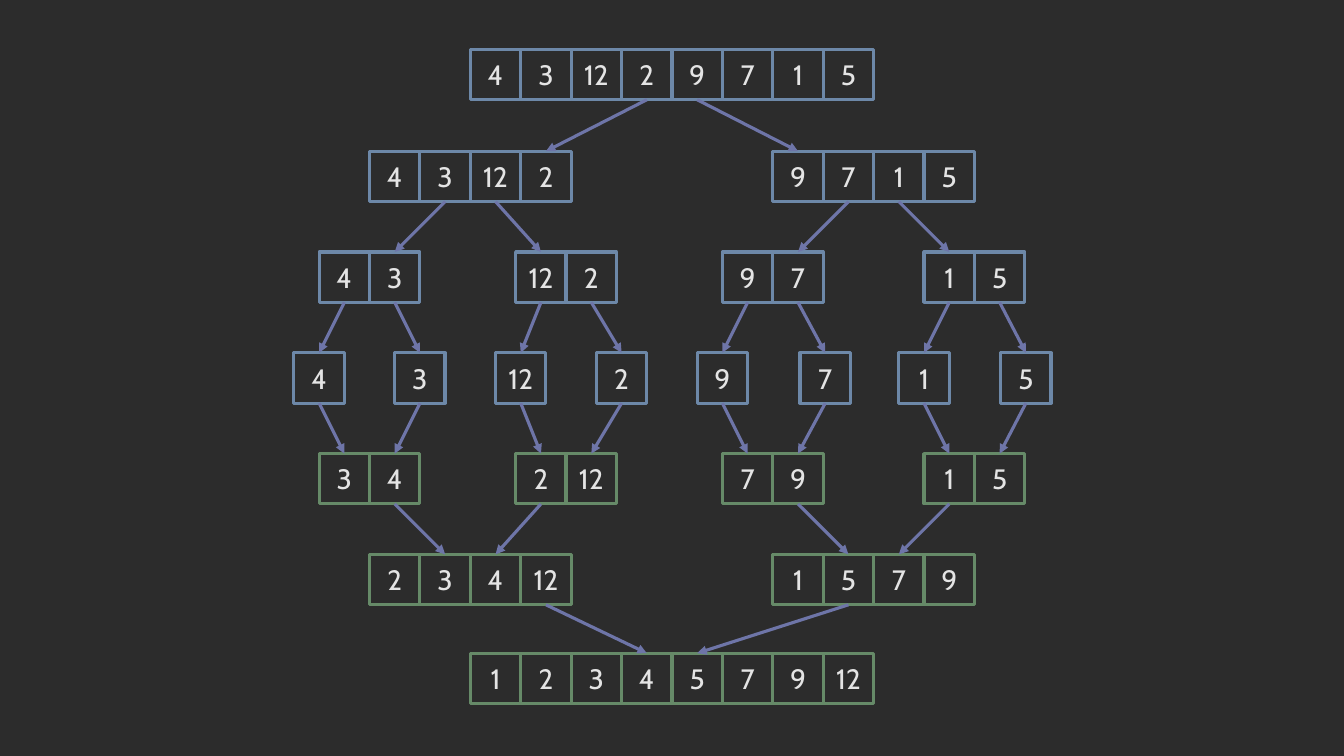
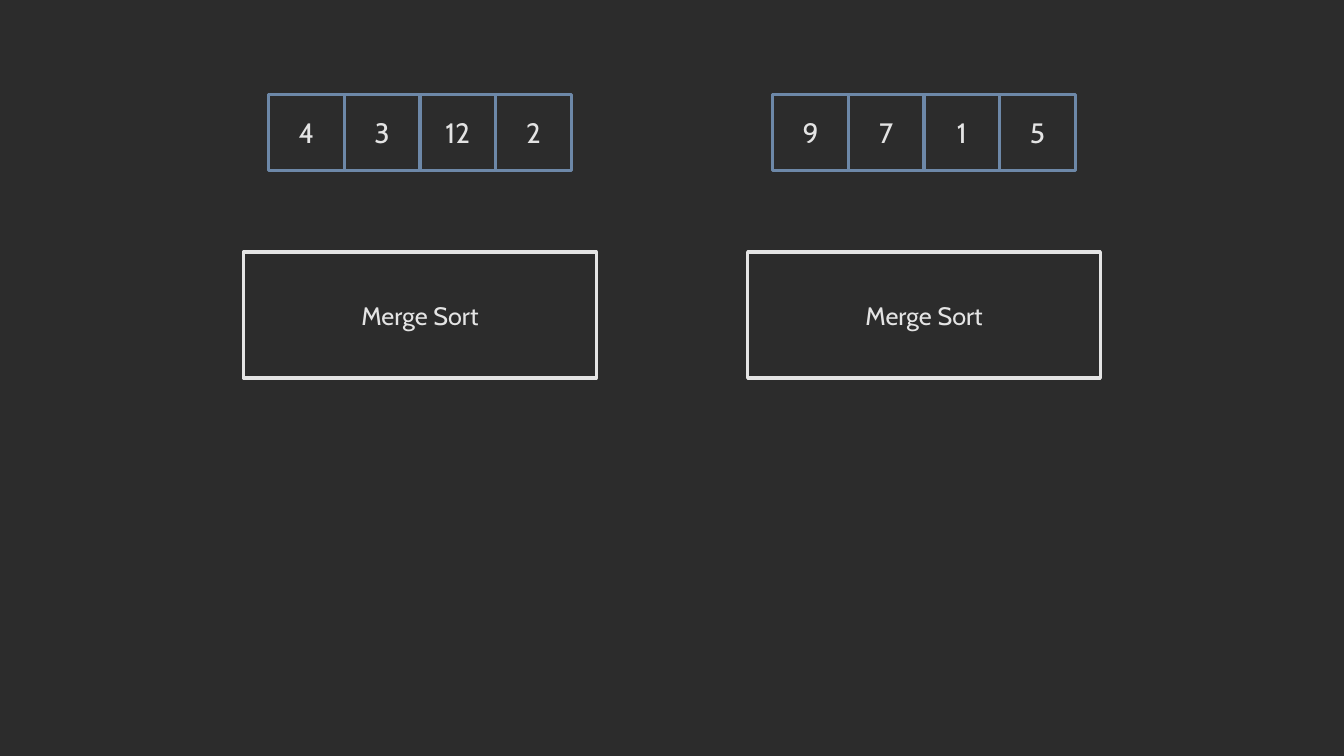
"""Build two merge sort slides: the full split and merge tree, then the two recursive calls."""
from lxml import etree
from pptx import Presentation
from pptx import util as u
from pptx.dml.color import RGBColor
from pptx.enum import shapes, text
from pptx.oxml.ns import qn

BACK = RGBColor(0x2C, 0x2C, 0x2C)
INK = RGBColor(0xE4, 0xE4, 0xE4)
SPLIT = RGBColor(0x6D, 0x88, 0xA8)
MERGED = RGBColor(0x66, 0x8A, 0x68)
ARROW = RGBColor(0x6E, 0x75, 0xA8)
FONT = "Cabin"
STROKE = u.Pt(2.25)
TOP, BOTTOM = 0, 2

WIDTH, HEIGHT = 13.33, 7.5
CENTER = WIDTH / 2
CELL = 0.5

# Each row: top in inches, colour, arrays as (cells right of the centre line, values).
TREE = [
    (0.49, SPLIT, [(-4, [4, 3, 12, 2, 9, 7, 1, 5])]),
    (1.5, SPLIT, [(-6, [4, 3, 12, 2]), (2, [9, 7, 1, 5])]),
    (2.5, SPLIT, [(-7, [4, 3]), (-3.1, [12, 2]), (1, [9, 7]), (5, [1, 5])]),
    (3.5, SPLIT, [(-7.5, [4]), (-5.5, [3]), (-3.5, [12]), (-1.5, [2]),
                  (0.5, [9]), (2.54, [7]), (4.5, [1]), (6.52, [5])]),
    (4.5, MERGED, [(-7, [3, 4]), (-3.1, [2, 12]), (1, [7, 9]), (5, [1, 5])]),
    (5.5, MERGED, [(-6, [2, 3, 4, 12]), (2, [1, 5, 7, 9])]),
    (6.48, MERGED, [(-4, [1, 2, 3, 4, 5, 7, 9, 12])]),
]

CALLS = [(CENTER - 2.5, [4, 3, 12, 2]), (CENTER + 2.5, [9, 7, 1, 5])]
CALL_LABEL = "Merge Sort"
CALL_CELL, CALL_TOP = 0.75, 0.94
BOX_WIDTH, BOX_HEIGHT, BOX_TOP = 3.5, 1.25, 2.5


def add_box(parent, left, top, width, height, label, color, size=20):
    sp = parent.add_shape(shapes.MSO_SHAPE.RECTANGLE,
                          *map(u.Inches, (left, top, width, height)))
    sp.shadow.inherit = False
    sp.fill.background()
    sp.line.color.rgb = color
    sp.line.width = STROKE
    tf = sp.text_frame
    tf.margin_left = tf.margin_right = 0
    tf.word_wrap = True
    tf.vertical_anchor = text.MSO_ANCHOR.MIDDLE
    tf.text = str(label)
    p = tf.paragraphs[0]
    p.alignment = text.PP_ALIGN.CENTER
    font = p.runs[0].font
    font.name, font.size, font.color.rgb = FONT, u.Pt(size), INK
    return sp


def add_array(s, left, top, cell, values, color):
    parent = s.shapes.add_group_shape().shapes if len(values) > 1 else s.shapes
    return [add_box(parent, left + i * cell, top, cell, cell, value, color)
            for i, value in enumerate(values)]


def add_arrow(s, start, end):
    line = s.shapes.add_connector(shapes.MSO_CONNECTOR.STRAIGHT, 0, 0, 0, 0)
    line.begin_connect(start, BOTTOM)
    line.end_connect(end, TOP)
    line.line.color.rgb = ARROW
    line.line.width = STROKE
    etree.SubElement(line.line._get_or_add_ln(), qn("a:tailEnd"), type="triangle")
    etree.SubElement(line._element.spPr, qn("a:effectLst"))


def build_tree(s):
    rows = [[add_array(s, CENTER + column * CELL, top, CELL, values, color)
             for column, values in arrays] for top, color, arrays in TREE]
    for upper, lower in zip(rows, rows[1:]):
        splitting = len(lower) > len(upper)
        wholes, halves = (upper, lower) if splitting else (lower, upper)
        for whole, left, right in zip(wholes, halves[::2], halves[1::2]):
            middle = len(whole) // 2
            inner = 1 if lower is rows[-1] else 0
            for cell, half in ((whole[middle - 1], left[-1]),
                               (whole[middle], right[inner])):
                add_arrow(s, *((cell, half) if splitting else (half, cell)))


def build_calls(s):
    for center, values in CALLS:
        left = center - len(values) * CALL_CELL / 2
        add_array(s, left, CALL_TOP, CALL_CELL, values, SPLIT)
        box = add_box(s.shapes, center - BOX_WIDTH / 2, BOX_TOP,
                      BOX_WIDTH, BOX_HEIGHT, CALL_LABEL, INK, 18)
        box.fill.solid()
        box.fill.fore_color.rgb = BACK


def main():
    prs = Presentation()
    prs.slide_width, prs.slide_height = u.Inches(WIDTH), u.Inches(HEIGHT)
    fill = prs.slide_master.background.fill
    fill.solid()
    fill.fore_color.rgb = BACK
    for build in (build_tree, build_calls):
        build(prs.slides.add_slide(prs.slide_layouts[6]))
    prs.save("out.pptx")


if __name__ == "__main__":
    main()
